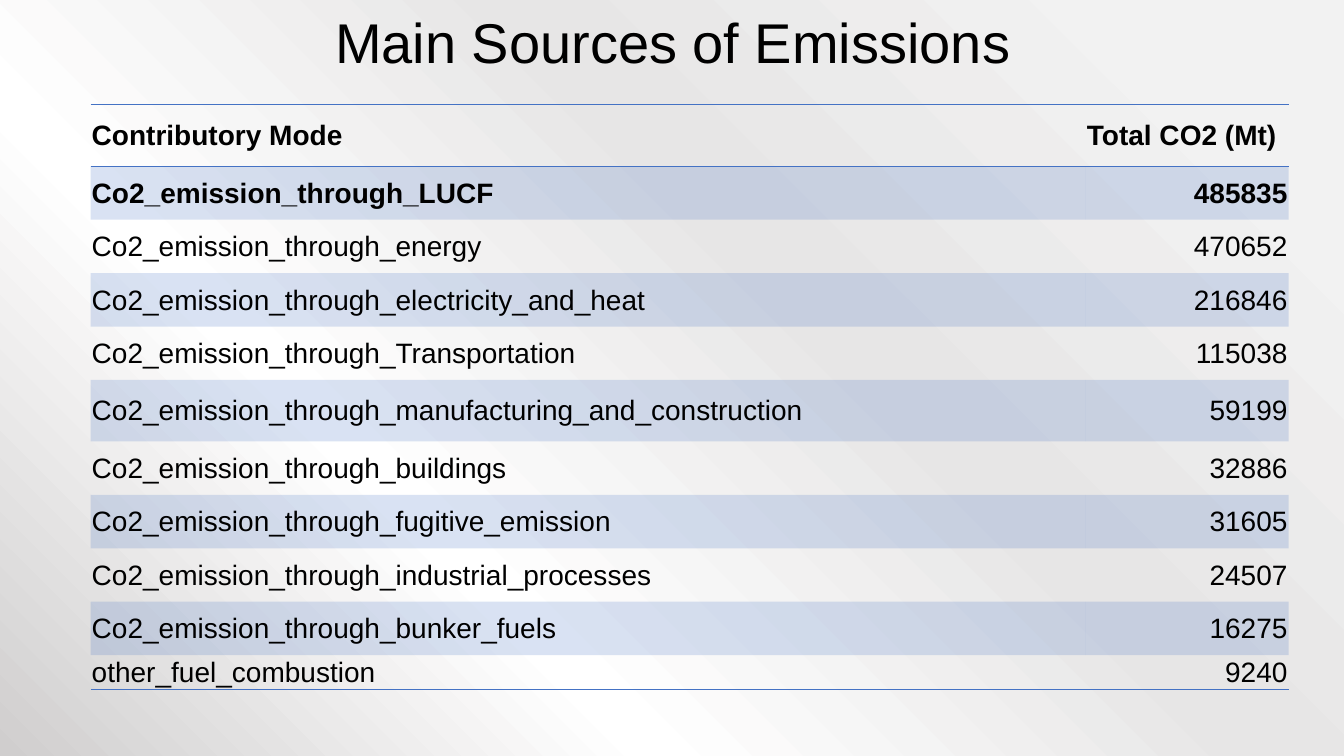
from dataclasses import dataclass

from pptx import Presentation
from pptx.dml.color import RGBColor
from pptx.enum.text import MSO_ANCHOR as Anchor, PP_ALIGN as Align
from pptx.oxml import parse_xml
from pptx.oxml.ns import nsdecls, qn
from pptx.util import Inches, Pt


@dataclass(frozen=True)
class Theme:
    font: str = "Arial"
    text: str = "000000"
    accent: str = "4472C4"
    band_opacity: int = 20
    title_size: int = 40
    table_size: int = 20
    rule_width: int = 1
    backdrop: tuple = ((10, "F2F2F2"), (40, "E7E6E6"), (69, "FFFFFF"), (100, "D0CECE"))


THEME = Theme()
NO_STYLE = "{2D5ABB26-0587-4C30-8999-92F81FD0307C}"
HEADINGS = ("Contributory Mode", "Total CO2 (Mt)")
EMISSIONS = (
    ("Co2_emission_through_LUCF", 485835),
    ("Co2_emission_through_energy", 470652),
    ("Co2_emission_through_electricity_and_heat", 216846),
    ("Co2_emission_through_Transportation", 115038),
    ("Co2_emission_through_manufacturing_and_construction", 59199),
    ("Co2_emission_through_buildings", 32886),
    ("Co2_emission_through_fugitive_emission", 31605),
    ("Co2_emission_through_industrial_processes", 24507),
    ("Co2_emission_through_bunker_fuels", 16275),
    ("other_fuel_combustion", 9240),
)
COLUMN_WIDTHS = (9.87, 2.01)
ROW_HEIGHT = 0.53
SPECIAL_HEIGHTS = {0: 0.61, 5: 0.61, 10: 0.34}


def write_text(frame, text, size, bold=False, align=Align.LEFT, spacing=1.0):
    frame.word_wrap = True
    para = frame.paragraphs[0]
    para.alignment = align
    para.line_spacing = spacing
    span = para.add_run()
    span.text = text
    span.font.name = THEME.font
    span.font.size = Pt(size)
    span.font.bold = bold
    span.font.color.rgb = RGBColor.from_string(THEME.text)


def paint_backdrop(page):
    page.background.fill.gradient()
    gradient = next(page.element.iter(qn("a:gradFill")))
    stops = "".join(
        f'<a:gs pos="{place * 1000}"><a:srgbClr val="{color}"/></a:gs>'
        for place, color in THEME.backdrop
    )
    gradient.getparent().replace(gradient, parse_xml(
        f'<a:gradFill {nsdecls("a")} rotWithShape="1"><a:gsLst>{stops}</a:gsLst>'
        '<a:path path="circle"><a:fillToRect l="100000" b="100000"/></a:path></a:gradFill>'
    ))


def place_title(page, left, top, width, height):
    title = page.shapes.title
    title.left, title.top = Inches(left), Inches(top)
    title.width, title.height = Inches(width), Inches(height)
    title.text_frame.vertical_anchor = Anchor.MIDDLE
    write_text(title.text_frame, "Main Sources of Emissions", THEME.title_size,
               align=Align.CENTER, spacing=0.9)


def rule_cell(cell, sides):
    properties = cell._tc.get_or_add_tcPr()
    for index, side in enumerate(sides):
        properties.insert(index, parse_xml(
            f'<a:{side} {nsdecls("a")} w="{Pt(THEME.rule_width)}"><a:solidFill>'
            f'<a:srgbClr val="{THEME.accent}"/></a:solidFill></a:{side}>'
        ))


def shade_cell(cell):
    cell.fill.solid()
    cell.fill.fore_color.rgb = RGBColor.from_string(THEME.accent)
    color = next(cell._tc.iter(qn("a:srgbClr")))
    color.append(parse_xml(f'<a:alpha {nsdecls("a")} val="{THEME.band_opacity * 1000}"/>'))


def format_cell(cell, text, row, column, last_row):
    cell.margin_left = cell.margin_top = cell.margin_right = Inches(0.01)
    cell.margin_bottom = 0
    cell.vertical_anchor = Anchor.MIDDLE
    align = Align.RIGHT if row and column else Align.LEFT
    write_text(cell.text_frame, text, THEME.table_size, bold=row < 2, align=align)
    for fill_color in cell._tc.tcPr.findall(qn("a:solidFill")):
        cell._tc.tcPr.remove(fill_color)
    if row % 2:
        cell.fill.background()
        cell.text_frame.word_wrap = True
        cell._tc.tcPr.remove(cell._tc.tcPr.find(qn("a:noFill")))
        for span in cell.text_frame.paragraphs[0].runs:
            span.font.color.rgb = RGBColor.from_string(THEME.text)
        cell.fill.solid()
        cell.fill.fore_color.rgb = RGBColor.from_string(THEME.accent)
        color = next(cell._tc.tcPr.iter(qn("a:srgbClr")))
        color.append(parse_xml(f'<a:alpha {nsdecls("a")} val="{THEME.band_opacity * 1000}"/>'))
    else:
        cell.fill.background()
    if row == 0:
        rule_cell(cell, ("lnT", "lnB"))
    elif row == last_row:
        rule_cell(cell, ("lnB",))


def place_emissions_table(page, left, top, width, height):
    rows = (HEADINGS,) + EMISSIONS
    frame = page.shapes.add_table(len(rows), len(HEADINGS), Inches(left), Inches(top),
                                  Inches(width), Inches(height))
    table = frame.table
    next(table._tbl.iter(qn("a:tableStyleId"))).text = NO_STYLE
    for column, column_width in zip(table.columns, COLUMN_WIDTHS):
        column.width = Inches(column_width)
    for row, values in enumerate(rows):
        table.rows[row].height = Inches(SPECIAL_HEIGHTS.get(row, ROW_HEIGHT))
        for column, value in enumerate(values):
            format_cell(table.cell(row, column), str(value), row, column, len(rows) - 1)


def main():
    deck = Presentation()
    deck.slide_width, deck.slide_height = Inches(13.33), Inches(7.5)
    page = deck.slides.add_slide(deck.slide_layouts[5])
    paint_backdrop(page)
    place_title(page, 0.92, 0.1, 11.5, 0.7)
    place_emissions_table(page, 0.9, 1.04, sum(COLUMN_WIDTHS), 5.79)
    deck.save("out.pptx")


if __name__ == "__main__":
    main()
